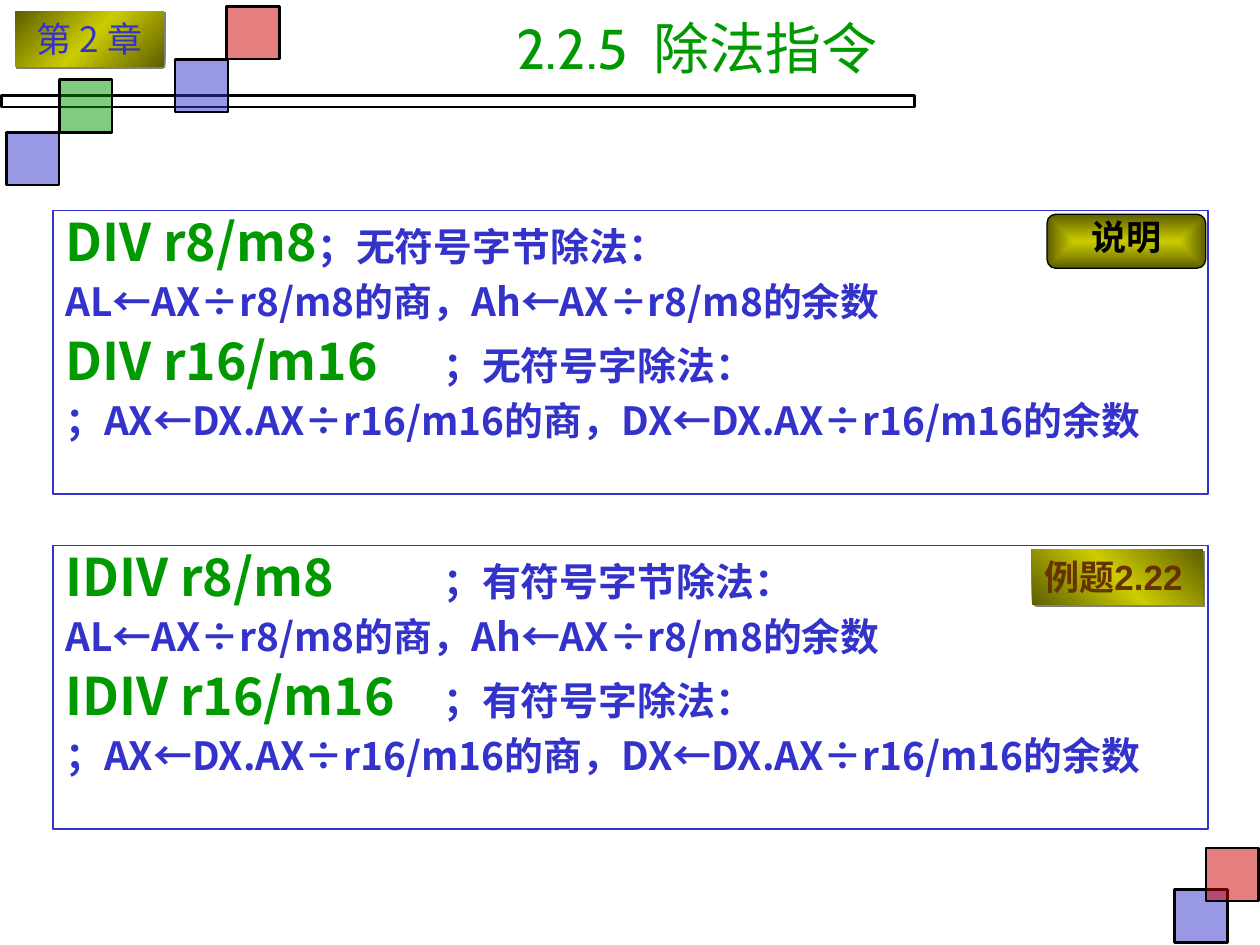
from dataclasses import dataclass

from lxml import etree
from pptx import Presentation
from pptx.dml.color import RGBColor
from pptx.enum import shapes, text
from pptx.oxml import ns
from pptx.util import Inches, Pt


@dataclass(frozen=True)
class Theme:
    blue: str = "3333CC"
    red: str = "CC0000"
    green: str = "009900"
    brown: str = "663300"
    black: str = "000000"
    white: str = "FFFFFF"
    gray: str = "808080"
    olive: str = "5E5E00"
    yellow: str = "CCCC00"
    title_font: str = "Cabin"
    chapter_font: str = "Noto Sans CJK JP"
    body_font: str = "Noto Sans CJK SC"
    label_font: str = "Arial"
    title_size: float = 32
    command_size: float = 29.6
    tab_size: float = 25.9
    note_size: float = 22.2
    label_size: float = 20


THEME = Theme()
ALIGN = text.PP_ALIGN
LINEAR = '<a:lin ang="{}" scaled="0"/>'
FROM_CENTER = ('<a:path path="rect"><a:fillToRect l="50000" t="50000" '
               'r="50000" b="50000"/></a:path>')


def sub(parent, tag, **attributes):
    return etree.SubElement(parent, ns.qn(tag), **attributes)


def add_box(slide, box, fill=None, line=None, width=1, alpha=None,
            kind=shapes.MSO_SHAPE.RECTANGLE):
    shape = slide.shapes.add_shape(kind, *map(Inches, box))
    shape.shadow.inherit = False
    if fill:
        shape.fill.solid()
        shape.fill.fore_color.rgb = RGBColor.from_string(fill)
        if alpha:
            color = shape._element.spPr.find(".//" + ns.qn("a:srgbClr"))
            sub(color, "a:alpha", val=str(alpha * 1000))
    else:
        shape.fill.background()
    if line:
        shape.line.color.rgb = RGBColor.from_string(line)
        shape.line.width = Pt(width)
    else:
        shape.line.fill.background()
    return shape


def set_gradient(shape, colors, direction):
    step = 100000 // (len(colors) - 1)
    gradient = etree.Element(ns.qn("a:gradFill"), rotWithShape="1")
    stops = sub(gradient, "a:gsLst")
    for index, color in enumerate(colors):
        sub(sub(stops, "a:gs", pos=str(index * step)), "a:srgbClr", val=color)
    namespace = f'<a:x {ns.nsdecls("a")}>{direction}</a:x>'
    gradient.append(etree.fromstring(namespace)[0])
    properties = shape._element.spPr
    properties.replace(properties.find(ns.qn("a:noFill")), gradient)


def set_shadow(shape):
    effects = shape._element.spPr.find(ns.qn("a:effectLst"))
    shadow = sub(effects, "a:outerShdw", dist="17800", dir="2700000",
                 algn="ctr", rotWithShape="0")
    sub(shadow, "a:srgbClr", val=THEME.gray)


def format_run(run, size, font, color, bold=False):
    run.font.size = Pt(size)
    run.font.name = font
    run.font.bold = bold
    run.font.color.rgb = RGBColor.from_string(color)
    sub(run._r.get_or_add_rPr(), "a:ea", typeface=font)


def add_label(shape, words, size, font, color, bold=False, align=ALIGN.CENTER,
              anchor=text.MSO_ANCHOR.TOP, wrap=True):
    frame = shape.text_frame
    frame.text = words
    frame.word_wrap = wrap
    frame.vertical_anchor = anchor
    paragraph = frame.paragraphs[0]
    paragraph.alignment = align
    format_run(paragraph.runs[0], size, font, color, bold)
    return paragraph


# Decoration: translucent squares and the rule under the title
def add_decoration(slide, left, top):
    add_box(slide, (left, top + 0.76, 7.25, 0.09), line=THEME.black, width=1.5)
    squares = [(9.31, 7.06, THEME.blue), (9.56, 6.73, THEME.red),
               (1.38, 0.47, THEME.blue), (0.04, 1.05, THEME.blue),
               (0.46, 0.63, THEME.green), (1.79, 0.05, THEME.red)]
    for x, y, color in squares:
        add_box(slide, (left + x, top + y, 0.42, 0.42), color, THEME.black,
                width=1.5, alpha=50)


# Olive plate with a diagonal sheen
def add_plate(slide, box, angle, words, **style):
    shape = add_box(slide, box)
    set_gradient(shape, [THEME.olive, THEME.yellow, THEME.olive],
                 LINEAR.format(angle * 60000))
    set_shadow(shape)
    add_label(shape, words, THEME.label_size, **style)


def add_title(slide, box, words):
    shape = slide.shapes.add_textbox(*map(Inches, box))
    add_label(shape, words, THEME.title_size, THEME.title_font, THEME.green,
              anchor=text.MSO_ANCHOR.MIDDLE)


# Framed panel describing the byte and word forms of one instruction
def add_panel(slide, box, lines):
    frame = add_box(slide, box, THEME.white, THEME.blue).text_frame
    frame.word_wrap = True
    frame.vertical_anchor = text.MSO_ANCHOR.TOP
    for index, line in enumerate(lines):
        paragraph = frame.add_paragraph() if index else frame.paragraphs[0]
        paragraph.alignment = ALIGN.JUSTIFY
        paragraph.line_spacing = 0.9
        paragraph.space_before = Pt(6)
        tabs = sub(paragraph._p.get_or_add_pPr(), "a:tabLst")
        for stop in range(8):
            sub(tabs, "a:tab", pos=str(Inches(stop)), algn="l")
        for words, size, color in line:
            run = paragraph.add_run()
            run.text = words
            format_run(run, size, THEME.body_font, color, bold=True)


def instruction_lines(name, sign):
    def command(words):
        return words, THEME.command_size, THEME.green

    def note(words):
        return words, THEME.note_size, THEME.blue

    tab = ("\t", THEME.tab_size, THEME.red)
    return [
        [command(f"{name} r8/m8"), tab, note(f"；{sign}符号字节除法：")],
        [note("AL←AX÷r8/m8的商，Ah←AX÷r8/m8的余数")],
        [command(f"{name} r16/m16"), tab, note(f"；{sign}符号字除法：")],
        [note("；AX←DX.AX÷r16/m16的商，DX←DX.AX÷r16/m16的余数")],
    ]


# Rounded button
def add_button(slide, box, words):
    shape = add_box(slide, box, line=THEME.black, width=0.75,
                    kind=shapes.MSO_SHAPE.ROUNDED_RECTANGLE)
    set_gradient(shape, [THEME.yellow, THEME.olive], FROM_CENTER)
    paragraph = add_label(shape, words, THEME.label_size, THEME.label_font,
                          THEME.black, bold=True, wrap=False,
                          anchor=text.MSO_ANCHOR.MIDDLE)
    paragraph.line_spacing = 0.7


def main():
    presentation = Presentation()
    presentation.slide_width = Inches(10)
    presentation.slide_height = Inches(7.5)
    slide = presentation.slides.add_slide(presentation.slide_layouts[6])

    add_decoration(slide, 0.01, 0)
    add_plate(slide, (0.12, 0.09, 1.18, 0.44), 45, "第 2 章",
              font=THEME.chapter_font, color=THEME.blue)
    add_title(slide, (2.24, 0.06, 6.58, 0.62), "2.2.5  除法指令")
    panels = [(1.67, "DIV", "无"), (4.33, "IDIV", "有")]
    for top, name, sign in panels:
        add_panel(slide, (0.42, top, 9.17, 2.25), instruction_lines(name, sign))
    add_plate(slide, (8.19, 4.36, 1.36, 0.44), 315, "例题2.22",
              font=THEME.label_font, color=THEME.brown, bold=True,
              align=ALIGN.LEFT, wrap=False)
    add_button(slide, (8.31, 1.7, 1.26, 0.43), "说明")
    presentation.save("out.pptx")


if __name__ == "__main__":
    main()
